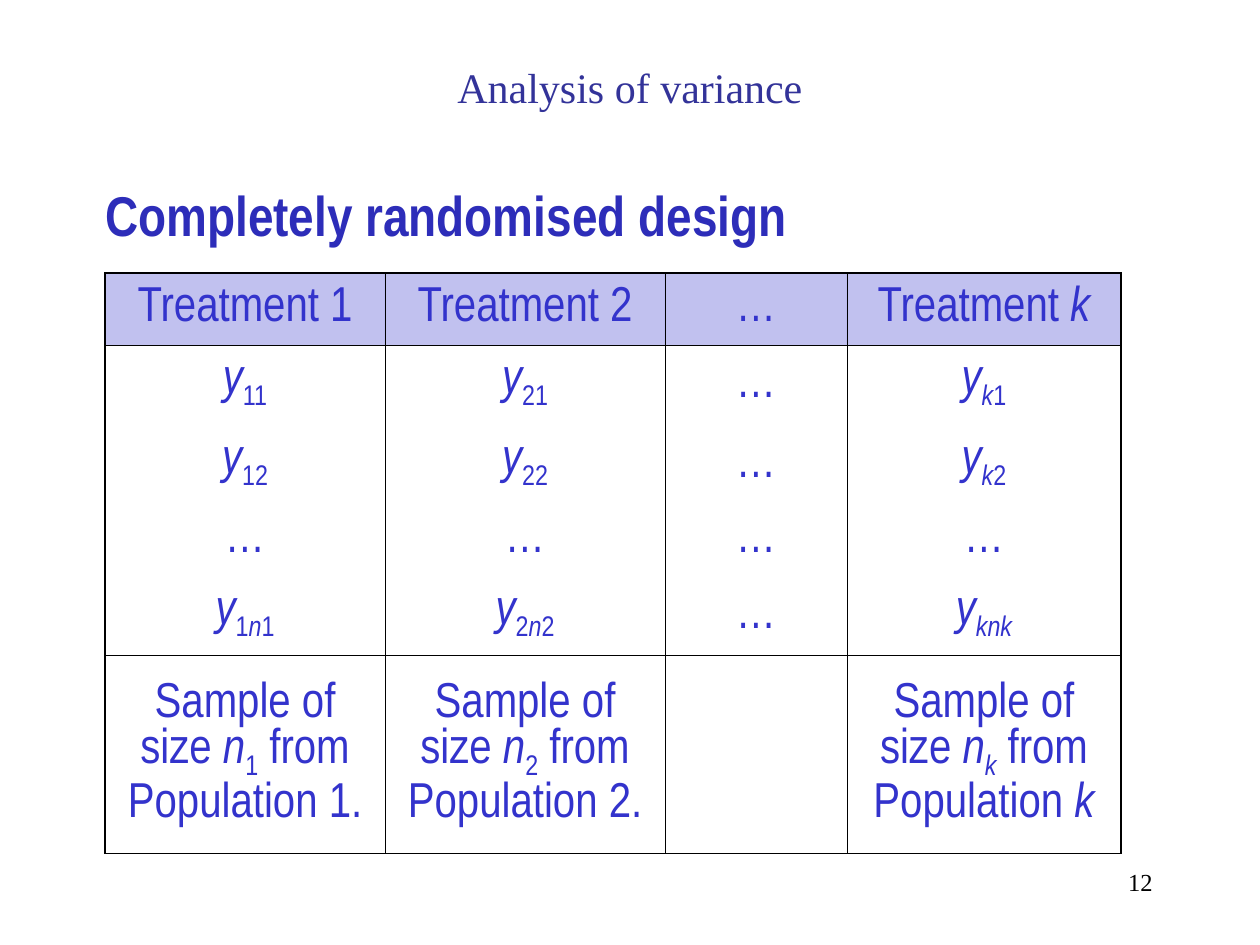
from lxml.etree import SubElement
from pptx import Presentation
from pptx.dml.color import RGBColor
from pptx.enum.text import MSO_ANCHOR, PP_ALIGN as Align
from pptx.oxml import parse_xml
from pptx.oxml.ns import nsdecls, qn
from pptx.util import Emu, Pt

PX = 914400 // 126
NAVY = RGBColor(0x33, 0x33, 0x99)
HEADING = RGBColor(0x2D, 0x2D, 0xB9)
BLUE = RGBColor(0x33, 0x33, 0xCC)
BLACK = RGBColor(0, 0, 0)
SERIF, NARROW = "Times New Roman", "Arial Narrow"
THICK, THIN = 1.08, 0.45

# Text marks: *italic*, _subscript_
ROWS = [
    ["Treatment 1", "Treatment 2", "…", "Treatment *k*"],
    ["*y*_11_", "*y*_21_", "…", "*y*_*k*1_"],
    ["*y*_12_", "*y*_22_", "…", "*y*_*k*2_"],
    ["…"] * 4,
    ["*y*_1*n*1_", "*y*_2*n*2_", "…", "*y*_*knk*_"],
    ["Sample of size *n*_1_ from Population 1.",
     "Sample of size *n*_2_ from Population 2.",
     "",
     "Sample of size *n*_*k*_ from Population *k*"],
]
COL_WIDTHS = [280, 280, 182, 274]
ROW_HEIGHTS = [72, 79, 79, 72, 79, 198]
RULED_ROWS = (0, 4, 5)  # rows with a line below


def px(n):
    return Emu(n * PX)


def set_font(p, name, size, color, bold=False):
    p.font.name, p.font.size, p.font.bold = name, Pt(size), bold
    p.font.color.rgb = color


def add_text(s, box, text, name, size, color, align=Align.LEFT, bold=False, wrap=True):
    tf = s.shapes.add_textbox(*map(px, box)).text_frame
    tf.word_wrap = wrap
    p = tf.paragraphs[0]
    p.text, p.alignment = text, align
    set_font(p, name, size, color, bold)


def add_marked_runs(p, text):
    for i, level in enumerate(text.split("_")):
        for j, part in enumerate(level.split("*")):
            if part:
                r = p.add_run()
                r.text = part
                if j % 2:
                    r.font.italic = True
                if i % 2:
                    r.font._element.set("baseline", "-25000")


def set_borders(cell, widths):
    """Draw the left, right, top and bottom lines; None means no line."""
    tc_pr = cell._tc.get_or_add_tcPr()
    for i, (side, width) in enumerate(zip("LRTB", widths)):
        size = f' w="{Pt(width)}"' if width else ""
        paint = (f'<a:solidFill><a:srgbClr val="{BLACK}"/></a:solidFill>'
                 if width else "<a:noFill/>")
        tc_pr.insert(i, parse_xml(
            f'<a:ln{side} {nsdecls("a")}{size}>{paint}</a:ln{side}>'))


def fill_cell(cell, is_header):
    if not is_header:
        cell.fill.background()
        return
    cell.fill.solid()
    cell.fill.fore_color.rgb = BLUE
    color = cell._tc.tcPr.find(".//" + qn("a:srgbClr"))
    SubElement(color, qn("a:alpha")).set("val", "30000")


def add_design_table(s, x, y):
    n_rows, n_cols = len(ROWS), len(COL_WIDTHS)
    table = s.shapes.add_table(n_rows, n_cols, px(x), px(y),
                               px(sum(COL_WIDTHS)), px(sum(ROW_HEIGHTS))).table
    table.first_row = table.horz_banding = False
    for col, width in zip(table.columns, COL_WIDTHS):
        col.width = px(width)
    for row, height in zip(table.rows, ROW_HEIGHTS):
        row.height = px(height)
    for i, texts in enumerate(ROWS):
        top = THICK if i == 0 else THIN if i - 1 in RULED_ROWS else None
        bottom = THICK if i == n_rows - 1 else THIN if i in RULED_ROWS else None
        for j, text in enumerate(texts):
            cell = table.cell(i, j)
            cell.vertical_anchor = MSO_ANCHOR.MIDDLE
            p = cell.text_frame.paragraphs[0]
            p.alignment, p.space_before = Align.CENTER, Pt(7)
            set_font(p, NARROW, 28, BLUE)
            add_marked_runs(p, text)
            fill_cell(cell, i == 0)
            left = THICK if j == 0 else THIN
            right = THICK if j == n_cols - 1 else THIN
            set_borders(cell, (left, right, top, bottom))


def main():
    prs = Presentation()
    prs.slide_width, prs.slide_height = px(1260), px(945)
    s = prs.slides.add_slide(prs.slide_layouts[6])

    # Page number, title and heading
    add_text(s, (903, 861, 262, 63), "12", SERIF, 14, BLACK, Align.RIGHT)
    add_text(s, (231, 55, 798, 117), "Analysis of variance", SERIF, 24, NAVY,
             Align.CENTER, wrap=False)
    add_text(s, (93, 174, 1060, 81), "Completely randomised design",
             NARROW, 32, HEADING, bold=True)

    # Treatments, observations and samples
    add_design_table(s, 105, 273)
    prs.save("out.pptx")


if __name__ == "__main__":
    main()
